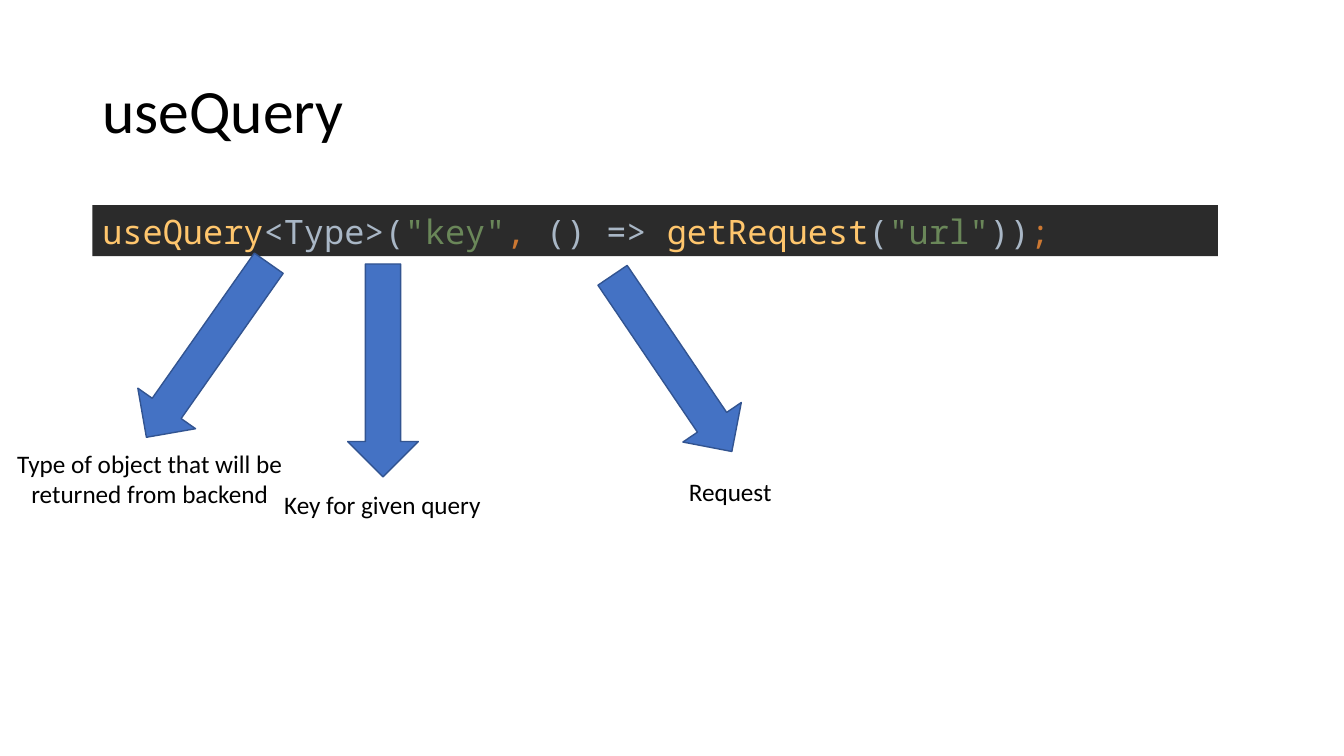
from pptx import Presentation
from pptx.dml.color import RGBColor
from pptx.enum.shapes import MSO_SHAPE
from pptx.enum.text import MSO_ANCHOR, PP_ALIGN
from pptx.util import Pt

RECT, ARROW = MSO_SHAPE.RECTANGLE, MSO_SHAPE.DOWN_ARROW
TOP, MIDDLE = MSO_ANCHOR.TOP, MSO_ANCHOR.MIDDLE
LEFT, CENTER = PP_ALIGN.LEFT, PP_ALIGN.CENTER

COLORS = {
    "text": "000000", "panel": "2B2B2B", "arrow": "4472C4", "edge": "325491",
    "call": "FFC66D", "plain": "A9B7C6", "string": "6A8759", "mark": "CC7832",
}


def color(name):
    return RGBColor.from_string(COLORS[name])


class Canvas:
    sans, mono = "Calibri", "Noto Sans Mono"

    def __init__(self, slide):
        self.shapes = slide.shapes

    def style(self, para, size, font, align=LEFT):
        para.font.size, para.font.name = Pt(size), font
        para.alignment = align

    def text(self, lines, x, y, w, h, size, align=LEFT, anchor=TOP, space=1.0):
        frame = self.shapes.add_textbox(Pt(x), Pt(y), Pt(w), Pt(h)).text_frame
        frame.word_wrap = True
        frame.vertical_anchor = anchor
        frame.text = "\n".join(lines)
        for para in frame.paragraphs:
            self.style(para, size, self.sans, align)
            para.font.color.rgb = color("text")
            para.line_spacing = space

    def shape(self, kind, x, y, w, h, fill, edge=None, turn=0):
        item = self.shapes.add_shape(kind, Pt(x), Pt(y), Pt(w), Pt(h))
        item.shadow.inherit = False
        item.rotation = turn
        item.fill.solid()
        item.fill.fore_color.rgb = color(fill)
        if edge:
            item.line.color.rgb = color(edge)
            item.line.width = Pt(1)
        else:
            item.line.fill.background()
        return item

    def code(self, parts, x, y, w, h, size):
        frame = self.shape(RECT, x, y, w, h, "panel").text_frame
        frame.word_wrap = True
        frame.vertical_anchor = MIDDLE
        para = frame.paragraphs[0]
        self.style(para, size, self.mono)
        for words, tone in parts:
            run = para.add_run()
            run.text = words
            run.font.color.rgb = color(tone)


deck = Presentation()
deck.slide_width, deck.slide_height = Pt(960), Pt(540)
canvas = Canvas(deck.slides.add_slide(deck.slide_layouts[6]))

# Title
canvas.text(["useQuery"], 66, 28.8, 828, 104.4, 44, anchor=MIDDLE, space=0.9)

# Code line
canvas.code([
    ("useQuery", "call"), ("<Type>(", "plain"), ('"key"', "string"),
    (", ", "mark"), ("() => ", "plain"), ("getRequest", "call"),
    ("(", "plain"), ('"url"', "string"), ("))", "plain"), (";", "mark"),
], 66, 146.5, 804, 36.5, 24)

# Arrows, each with its label: arrow x, y, turn; label middle, top, lines
NOTES = [
    (248.4, 188.6, 0, 273.2, 346.3, ["Key for given query"]),
    (455, 183.6, 325.9, 521.6, 337, ["Request"]),
    (123.1, 174.2, 35.1, 106.9, 316.8,
     ["Type of object that will be", "returned from backend"]),
]
WIDE = 212
for x, y, turn, mid, top, lines in NOTES:
    canvas.shape(ARROW, x, y, 50.4, 152, "arrow", "edge", turn)
    canvas.text(lines, mid - WIDE / 2, top, WIDE, 7.2 + 22 * len(lines), 18, CENTER)

deck.save("out.pptx")
